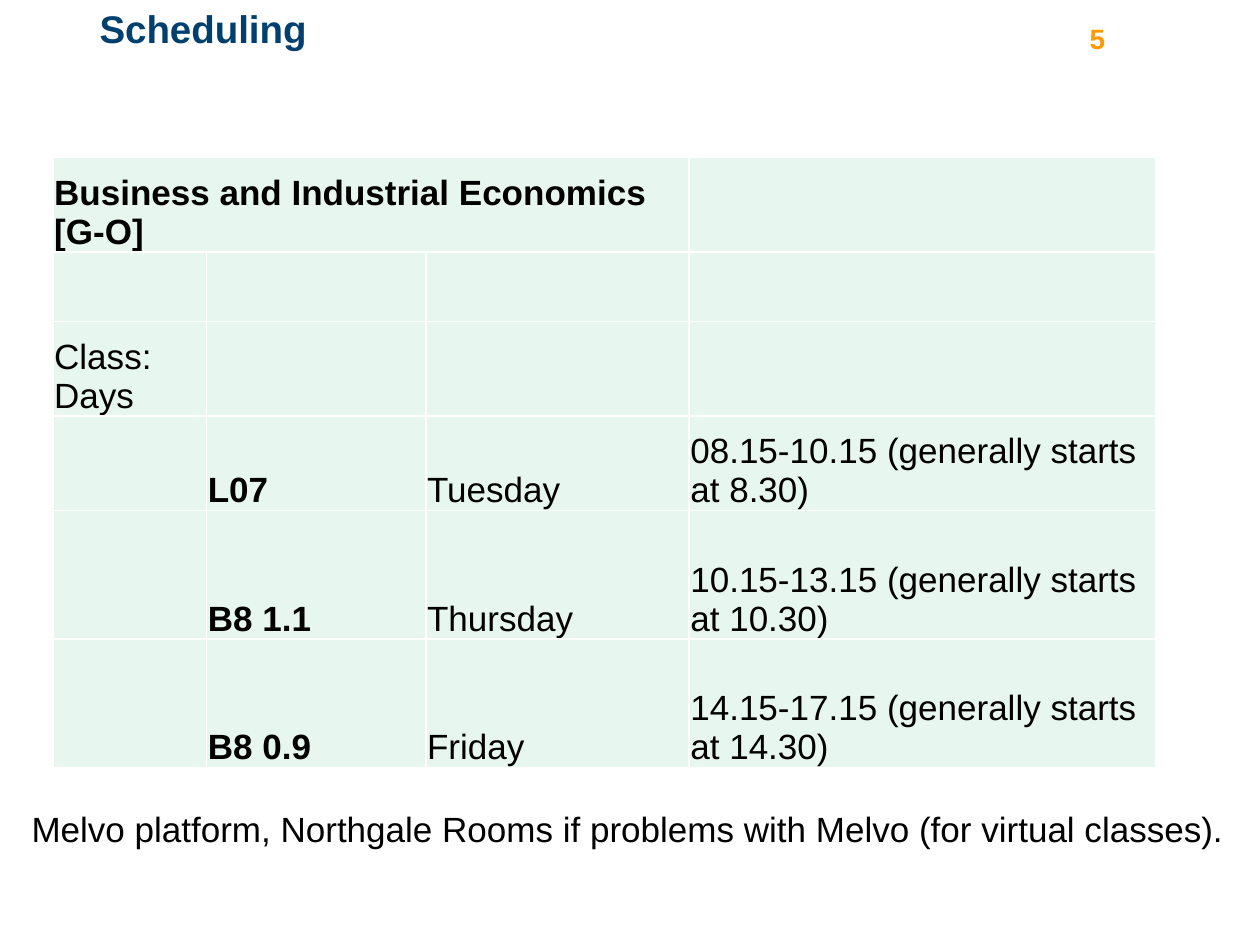
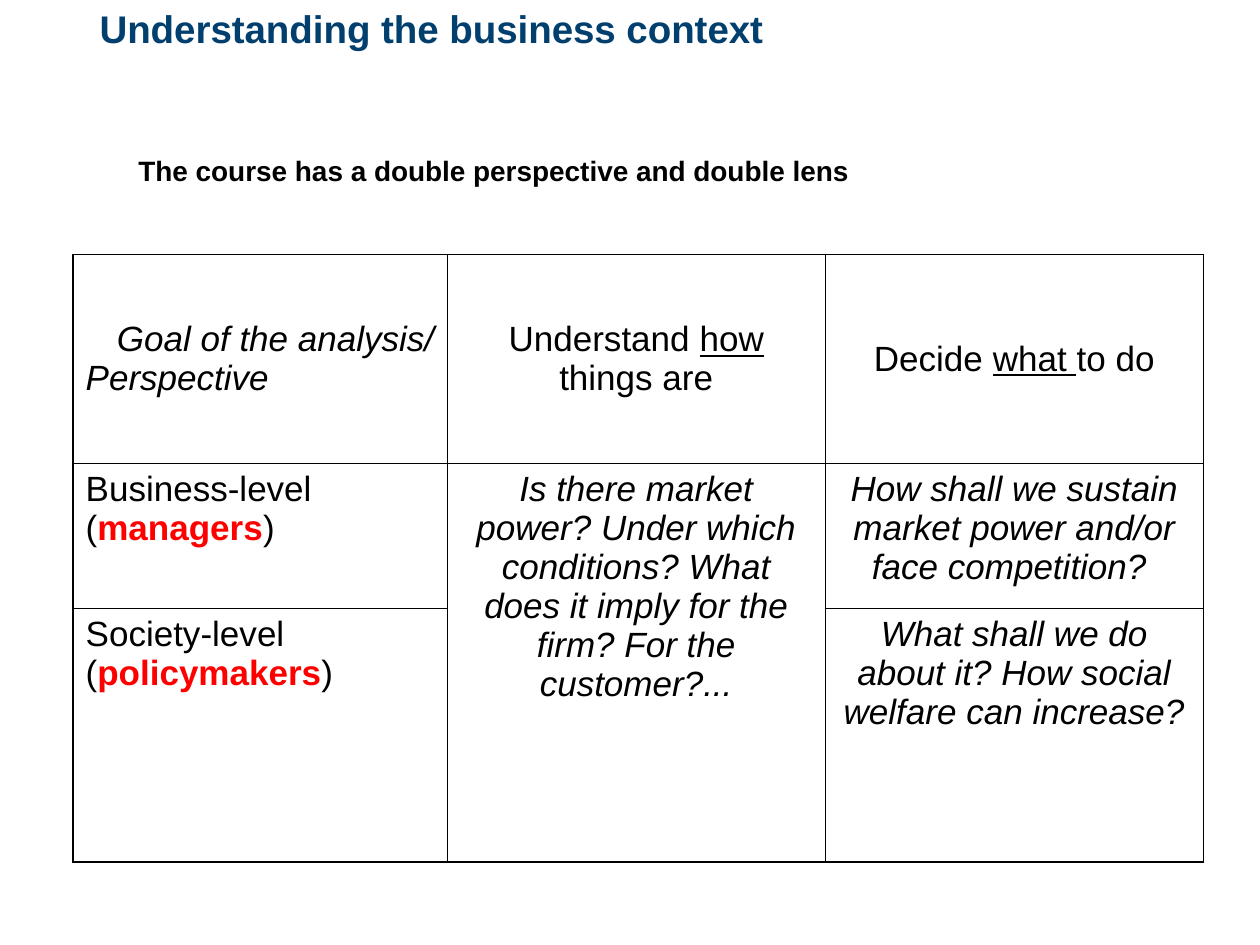
from lxml.etree import SubElement
from pptx import Presentation
from pptx.dml.color import RGBColor
from pptx.enum.text import MSO_ANCHOR as Anchor, MSO_AUTO_SIZE as AutoSize, PP_ALIGN as Align
from pptx.oxml import parse_xml
from pptx.oxml.ns import nsdecls, qn
from pptx.util import Inches, Pt

NAVY = RGBColor(0x00, 0x3F, 0x6E)
ORANGE = RGBColor(0xFF, 0x99, 0x00)
MINT = RGBColor(0xE7, 0xF6, 0xEF)
RED = RGBColor(0xFF, 0x00, 0x00)
BLACK = RGBColor(0x00, 0x00, 0x00)
WHITE = RGBColor(0xFF, 0xFF, 0xFF)

FONT = "Arial"
TITLE_SIZE, BODY_SIZE, SMALL_SIZE = 22, 20, 16
GRID_COLUMNS, GRID_ROWS = 100, 75
NO_MARGINS = (0, 0, 0, 0)
TEXT_MARGINS = (0.1, 0.05, 0.1, 0.05)
TIGHT_MARGINS = (0.01, 0.01, 0.01, 0)


class Deck:
    def __init__(self):
        self.presentation = Presentation()
        self.presentation.slide_width = Inches(10)
        self.presentation.slide_height = Inches(7.5)
        self.slide = None

    def across(self, columns):
        return round(self.presentation.slide_width * columns / GRID_COLUMNS)

    def down(self, rows):
        return round(self.presentation.slide_height * rows / GRID_ROWS)

    def box(self, left, top, width, height):
        """Turn grid columns and rows into slide lengths."""
        return self.across(left), self.down(top), self.across(width), self.down(height)

    def set_margins(self, target, margins):
        sides = ("left", "top", "right", "bottom")
        target.margin_left, target.margin_top, target.margin_right, target.margin_bottom = (
            Inches(margin) for _, margin in zip(sides, margins))

    def fill_text(self, text_frame, paragraphs, size=BODY_SIZE, color=BLACK):
        """Fill a frame from (alignment, [(text, marks)]); marks: b, i, u and r for red."""
        for index, (alignment, runs) in enumerate(paragraphs):
            paragraph = text_frame.add_paragraph() if index else text_frame.paragraphs[0]
            paragraph.alignment = alignment
            for text, marks in runs:
                run = paragraph.add_run()
                run.text = text
                font = run.font
                font.name, font.size = FONT, Pt(size)
                font.bold, font.italic, font.underline = ("b" in marks, "i" in marks, "u" in marks)
                font.color.rgb = RED if "r" in marks else color

    def add_slide(self, title, title_width):
        self.slide = self.presentation.slides.add_slide(self.presentation.slide_layouts[5])
        shape = self.slide.shapes.title
        shape.left, shape.top, shape.width, shape.height = self.box(7.9, 0.4, title_width, 9.2)
        text_frame = shape.text_frame
        text_frame.auto_size = AutoSize.NONE
        text_frame.vertical_anchor = Anchor.TOP
        self.set_margins(text_frame, NO_MARGINS)
        self.fill_text(text_frame, [(Align.LEFT, [(title, "b")])], TITLE_SIZE, NAVY)

    def add_text(self, place, text, marks="", size=BODY_SIZE, color=BLACK,
                 alignment=Align.LEFT, margins=TEXT_MARGINS, wrap=True):
        text_frame = self.slide.shapes.add_textbox(*self.box(*place)).text_frame
        text_frame.word_wrap = wrap
        self.set_margins(text_frame, margins)
        self.fill_text(text_frame, [(alignment, [(text, marks)])], size, color)

    def add_table(self, left, top, widths, heights, border, fill=None, merges=()):
        place = self.box(left, top, sum(widths), sum(heights))
        table = self.slide.shapes.add_table(len(heights), len(widths), *place).table
        table.first_row = table.horz_banding = False
        for column, width in zip(table.columns, widths):
            column.width = self.across(width)
        for row, height in zip(table.rows, heights):
            row.height = self.down(height)
        for cell in table.iter_cells():
            if fill is None:
                cell.fill.background()
            else:
                cell.fill.solid()
                cell.fill.fore_color.rgb = fill
            self.draw_borders(cell, border)
        for first, last in merges:
            table.cell(*first).merge(table.cell(*last))
        return table

    def draw_borders(self, cell, color):
        properties = cell._tc.get_or_add_tcPr()
        for index, side in enumerate(("lnL", "lnR", "lnT", "lnB")):
            line = parse_xml(f'<a:{side} {nsdecls("a")} w="{Pt(1)}"/>')
            solid = SubElement(line, qn("a:solidFill"))
            SubElement(solid, qn("a:srgbClr"), val=str(color))
            properties.insert(index, line)

    def fill_cell(self, cell, paragraphs, anchor, margins=TEXT_MARGINS):
        cell.vertical_anchor = anchor
        self.set_margins(cell, margins)
        self.fill_text(cell.text_frame, paragraphs)


def build_scheduling(deck):
    deck.add_slide("Scheduling", 65)
    deck.add_text((84.6, 1.7, 14.9, 2.7), "5", "b", SMALL_SIZE, ORANGE,
                  Align.RIGHT, (0, 0, 1.18, 0), wrap=False)
    timetable = deck.add_table(4.2, 12.5, (12.2, 17.4, 20.9, 37),
                               (7.5, 5.5, 7.5, 7.5, 10.2, 10.2),
                               WHITE, MINT, merges=[((0, 0), (0, 2))])
    entries = {(0, 0): ("Business and Industrial Economics [G-O]", "b"),
               (2, 0): ("Class: Days", "")}
    classes = [("L07", "Tuesday", "08.15-10.15 (generally starts at 8.30)"),
               ("B8 1.1", "Thursday", "10.15-13.15 (generally starts at 10.30)"),
               ("B8 0.9", "Friday", "14.15-17.15 (generally starts at 14.30)")]
    for row, (room, day, hours) in enumerate(classes, start=3):
        entries.update({(row, 1): (room, "b"), (row, 2): (day, ""), (row, 3): (hours, "")})
    for position, run in entries.items():
        deck.fill_cell(timetable.cell(*position), [(Align.LEFT, [run])],
                       Anchor.BOTTOM, TIGHT_MARGINS)
    deck.add_text((2.5, 64.1, 95.8, 10.9),
                  "Melvo platform, Northgale Rooms if problems with Melvo (for virtual classes).",
                  margins=NO_MARGINS)


def build_business_context(deck):
    deck.add_slide("Understanding the business context", 84.6)
    perspectives = deck.add_table(5.8, 20.2, (29.7, 30, 30), (16.6, 11.5, 20.1),
                                  BLACK, merges=[((1, 1), (2, 1))])
    headings = [
        [(Align.RIGHT, [("Goal of the analysis/", "i")]), (Align.LEFT, [("Perspective", "i")])],
        [(Align.CENTER, [("Understand ", ""), ("how", "u"), (" things are", "")])],
        [(Align.CENTER, [("Decide ", ""), ("what ", "u"), ("to do", "")])],
    ]
    for column, paragraphs in enumerate(headings):
        deck.fill_cell(perspectives.cell(0, column), paragraphs, Anchor.MIDDLE)

    levels = [("Business-level (", "managers"), ("Society-level (", "policymakers")]
    for row, (level, people) in enumerate(levels, start=1):
        runs = [(level, ""), (people, "br"), (")", "")]
        deck.fill_cell(perspectives.cell(row, 0), [(Align.LEFT, runs)], Anchor.TOP)

    questions = {
        (1, 1): "Is there market power? Under which conditions? "
                "What does it imply for the firm? For the customer?...",
        (1, 2): "How shall we sustain market power and/or face competition? ",
        (2, 2): "What shall we do about it? How social welfare can increase?",
    }
    for position, question in questions.items():
        deck.fill_cell(perspectives.cell(*position),
                       [(Align.CENTER, [(question, "i")])], Anchor.TOP)
    deck.add_text((10, 11.7, 75, 3.7), "The course has a double perspective and double lens",
                  "b", SMALL_SIZE)


def main():
    deck = Deck()
    build_scheduling(deck)
    build_business_context(deck)
    deck.presentation.save("out.pptx")


if __name__ == "__main__":
    main()
